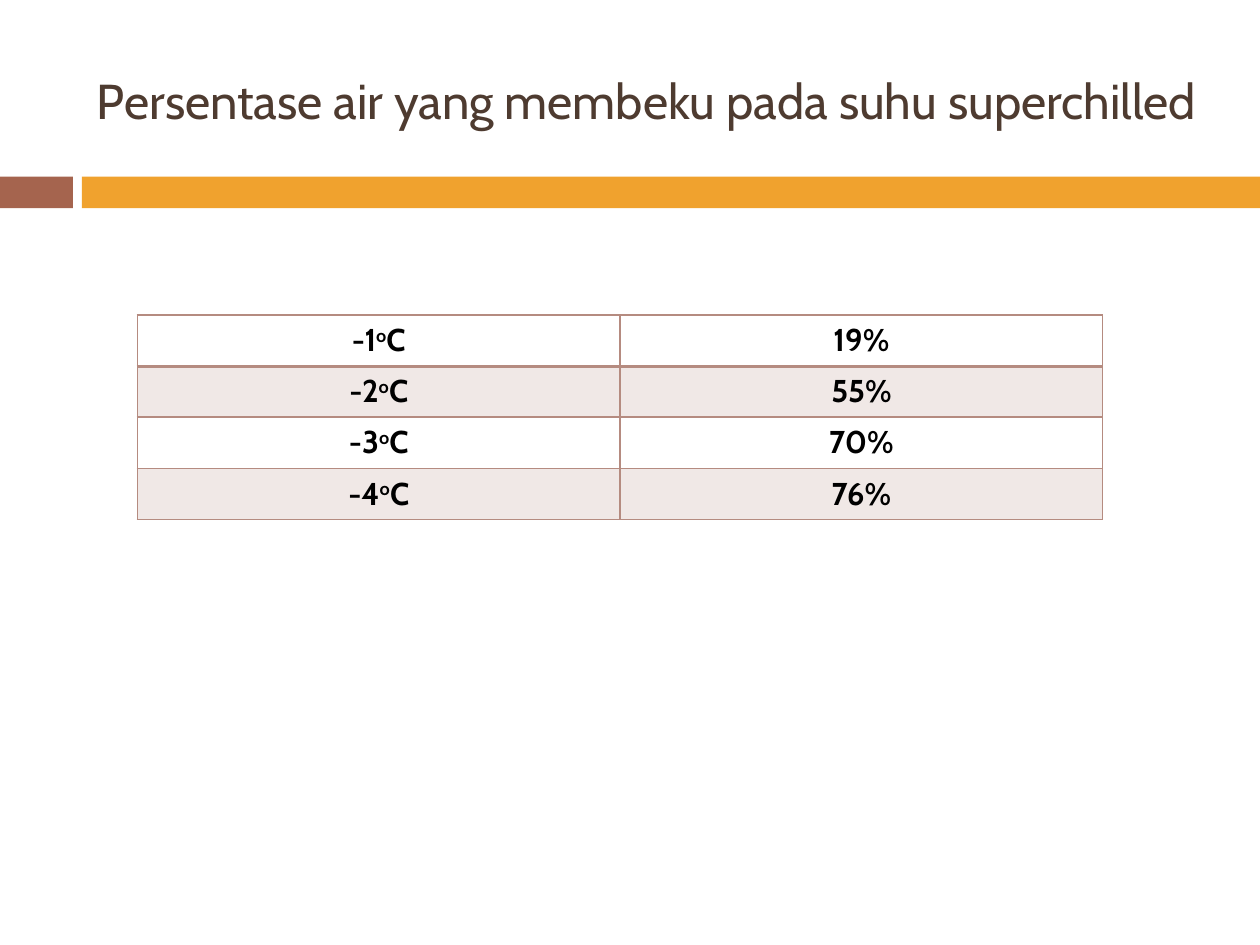
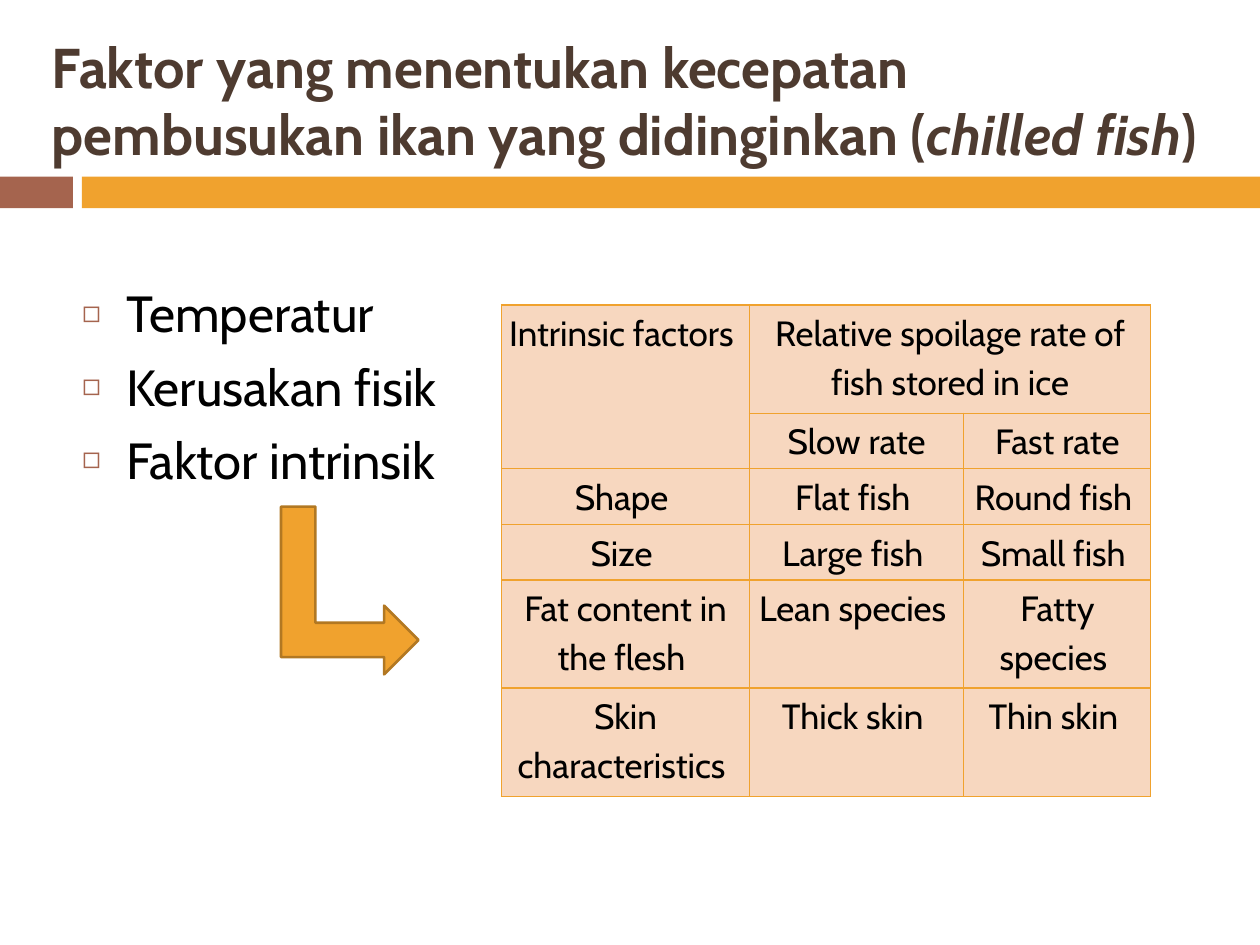
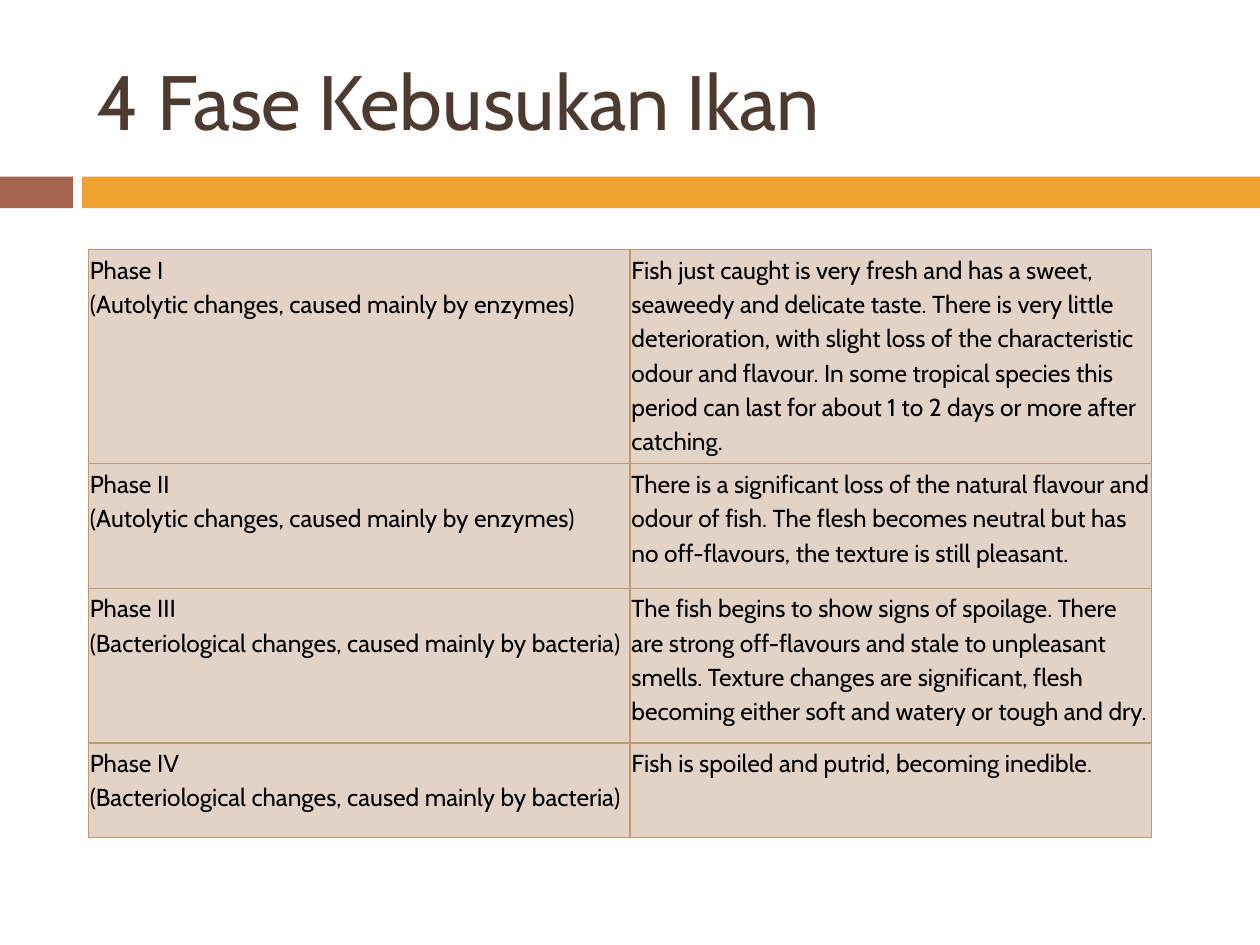
from lxml.etree import SubElement
from pptx import Presentation
from pptx.dml.color import RGBColor
from pptx.enum.shapes import MSO_SHAPE
from pptx.enum.text import MSO_ANCHOR, MSO_AUTO_SIZE, PP_ALIGN
from pptx.oxml.ns import qn
from pptx.util import Cm, Pt

FONT = "Cabin"
COLORS = {
    "title": "4E3B30", "text": "000000",
    "brown": "A5644E", "orange": "F0A22E", "arrow_line": "B27822",
    "rose": "B58B80", "rose_tint": "F0E8E6",
    "peach": "F7D7BF", "tan": "C3986D", "tan_tint": "E3D3C6",
}
TITLE_LAYOUT, LIST_LAYOUT = 5, 1


def rgb(name):
    return RGBColor.from_string(COLORS[name])


class Deck:
    def __init__(self):
        self.prs = Presentation()
        self.prs.slide_width, self.prs.slide_height = Cm(25.4), Cm(19.05)
        self.s = None

    def slide(self, title, size, left=1.7, width=22.66, bold=False, layout=TITLE_LAYOUT):
        """Start a slide with its two bands and its title."""
        self.s = self.prs.slides.add_slide(self.prs.slide_layouts[layout])
        self.shape(MSO_SHAPE.RECTANGLE, 0, 3.56, 1.47, 0.64, "brown")
        self.shape(MSO_SHAPE.RECTANGLE, 1.65, 3.56, 23.75, 0.64, "orange")
        sp = self.s.shapes.title
        self.place(sp, left, 0.64, width, 2.74)
        tf = sp.text_frame
        tf.vertical_anchor = MSO_ANCHOR.MIDDLE
        tf.auto_size = MSO_AUTO_SIZE.NONE
        tf.paragraphs[0].alignment = PP_ALIGN.LEFT
        self.add_text(tf.paragraphs[0], title, size, "title", bold)

    def place(self, sp, left, top, width, height):
        sp.left, sp.top, sp.width, sp.height = map(Cm, (left, top, width, height))

    def add_text(self, p, parts, size, color="text", bold=False):
        """Fill a paragraph from a string or a list of (text, style) parts."""
        if isinstance(parts, str):
            parts = [(parts, "")]
        for text, style in parts:
            for i, line in enumerate(text.split("\n")):
                if i:
                    p.add_line_break()
                r = p.add_run()
                r.text = line
                r.font.name, r.font.size = FONT, Pt(size)
                r.font.color.rgb = rgb(color)
                r.font.bold = bold
                r.font.italic = style == "italic"
                if style == "super":
                    r._r.get_or_add_rPr().set("baseline", "30000")

    def shape(self, kind, left, top, width, height, fill, line=None, rotation=0):
        sp = self.s.shapes.add_shape(kind, *map(Cm, (left, top, width, height)))
        sp.shadow.inherit = False
        sp.rotation = rotation
        sp.fill.solid()
        sp.fill.fore_color.rgb = rgb(fill)
        if line:
            sp.line.color.rgb = rgb(line)
            sp.line.width = Pt(1.5)
        else:
            sp.line.fill.background()

    def bullets(self, items, size, left, top, width, height):
        sp = self.s.placeholders[1]
        self.place(sp, left, top, width, height)
        tf = sp.text_frame
        tf.auto_size = MSO_AUTO_SIZE.NONE
        for i, item in enumerate(items):
            p = tf.add_paragraph() if i else tf.paragraphs[0]
            pPr = p._p.get_or_add_pPr()
            pPr.set("marL", str(Cm(0.89)))
            pPr.set("indent", str(-Cm(0.89)))
            clr = SubElement(pPr, qn("a:buClr"))
            SubElement(clr, qn("a:srgbClr"), val=COLORS["brown"])
            SubElement(pPr, qn("a:buSzPct"), val="60000")
            SubElement(pPr, qn("a:buChar"), char="◻")
            p.space_before = Pt(7 if i else 0)
            self.add_text(p, item, size)

    def border(self, cell, color, top, bottom, side):
        tcPr = cell._tc.get_or_add_tcPr()
        for tag, width in (("lnL", side), ("lnR", side), ("lnT", top), ("lnB", bottom)):
            ln = SubElement(tcPr, qn("a:" + tag), w=str(Pt(width)))
            fill = SubElement(ln, qn("a:solidFill"))
            SubElement(fill, qn("a:srgbClr"), val=COLORS[color])

    def table(self, data, left, top, cols, rows, size, line, fills, merges=(),
              align=PP_ALIGN.CENTER, bold=False, line_width=0.79, head_rule=None,
              loose=True):
        """Draw a table; fills repeat down the rows, loose text has tiny margins."""
        head_rule = head_rule or line_width
        tbl = self.s.shapes.add_table(len(rows), len(cols), Cm(left), Cm(top),
                                      Cm(sum(cols)), Cm(sum(rows))).table
        tbl.first_row = tbl.horz_banding = False
        for col, width in zip(tbl.columns, cols):
            col.width = Cm(width)
        for row, height in zip(tbl.rows, rows):
            row.height = Cm(height)
        for i, texts in enumerate(data):
            for j, text in enumerate(texts):
                cell = tbl.cell(i, j)
                self.border(cell, line, head_rule if i == 1 else line_width,
                            head_rule if i == 0 else line_width, line_width)
                fill = fills[i % len(fills)]
                if fill:
                    cell.fill.solid()
                    cell.fill.fore_color.rgb = rgb(fill)
                else:
                    cell.fill.background()
                if text is None:
                    continue
                p = cell.text_frame.paragraphs[0]
                p.alignment = align
                if loose:
                    cell.margin_left = cell.margin_right = Cm(0.03)
                    cell.margin_top = cell.margin_bottom = Cm(0.03)
                    p.line_spacing, p.space_after = 1.15, Pt(10)
                self.add_text(p, text, size, bold=bold)
        for first, last in merges:
            tbl.cell(*first).merge(tbl.cell(*last))


def main():
    deck = Deck()

    # Frozen water by temperature
    deck.slide("Persentase air yang membeku pada suhu superchilled", 28)
    shares = ["19%", "55%", "70%", "76%"]
    deck.table([[[(f"-{n}", ""), ("o", "super"), ("C", "")], share]
                for n, share in enumerate(shares, 1)],
               2.77, 6.35, [9.73] * 2, [1.03] * 4, 18, "rose", [None, "rose_tint"],
               bold=True, line_width=1, head_rule=2, loose=False)

    # Spoilage factors
    deck.slide([("Faktor yang menentukan kecepatan pembusukan ikan yang didinginkan (", ""),
                ("chilled fish", "italic"), (")", "")],
               32, left=0.79, width=24.2, bold=True, layout=LIST_LAYOUT)
    deck.bullets(["Temperatur", "Kerusakan fisik", "Faktor intrinsik"],
                 29, 1.4, 5.56, 22.66, 12.5)
    factors = [
        ["Intrinsic factors ", "Relative spoilage rate of fish stored in ice", None],
        [None, "Slow rate", "Fast rate"],
        ["Shape ", "Flat fish ", "Round fish "],
        ["Size ", "Large fish ", "Small fish "],
        ["Fat content in the flesh ", "Lean species ", "Fatty species "],
        ["Skin characteristics ", "Thick skin ", "Thin skin "],
    ]
    deck.table(factors, 10.11, 6.15, [5, 4.32, 3.77], [2.18] + [1.12] * 3 + [2.18] * 2,
               20, "orange", ["peach"], merges=[((0, 0), (1, 0)), ((0, 1), (0, 2))])
    deck.shape(MSO_SHAPE.BENT_UP_ARROW, 5.36, 10.52, 3.38, 2.77, "orange",
               line="arrow_line", rotation=90)

    # Phases of spoilage
    deck.slide("4 Fase Kebusukan Ikan", 44)
    autolytic = "(Autolytic changes, caused mainly by enzymes)"
    bacterial = "(Bacteriological changes, caused mainly by bacteria)"
    phases = [
        ["Phase I\n" + autolytic,
         "Fish just caught is very fresh and has a sweet, seaweedy and delicate taste. "
         "There is very little deterioration, with slight loss of the characteristic "
         "odour and flavour. In some tropical species this period can last for about "
         "1 to 2 days or more after catching."],
        ["Phase II\n" + autolytic,
         "There is a significant loss of the natural flavour and odour of fish. The flesh "
         "becomes neutral but has no off-flavours, the texture is still pleasant."],
        ["Phase III\n" + bacterial,
         "The fish begins to show signs of spoilage. There are strong off-flavours and "
         "stale to unpleasant smells. Texture changes are significant, flesh becoming "
         "either soft and watery or tough and dry."],
        ["Phase IV\n" + bacterial, "Fish is spoiled and putrid, becoming inedible."],
    ]
    deck.table(phases, 1.78, 5.03, [10.92, 10.52], [4.32, 2.51, 3.12, 1.9], 14,
               "tan", ["tan_tint"], align=PP_ALIGN.LEFT)

    deck.prs.save("out.pptx")


if __name__ == "__main__":
    main()
